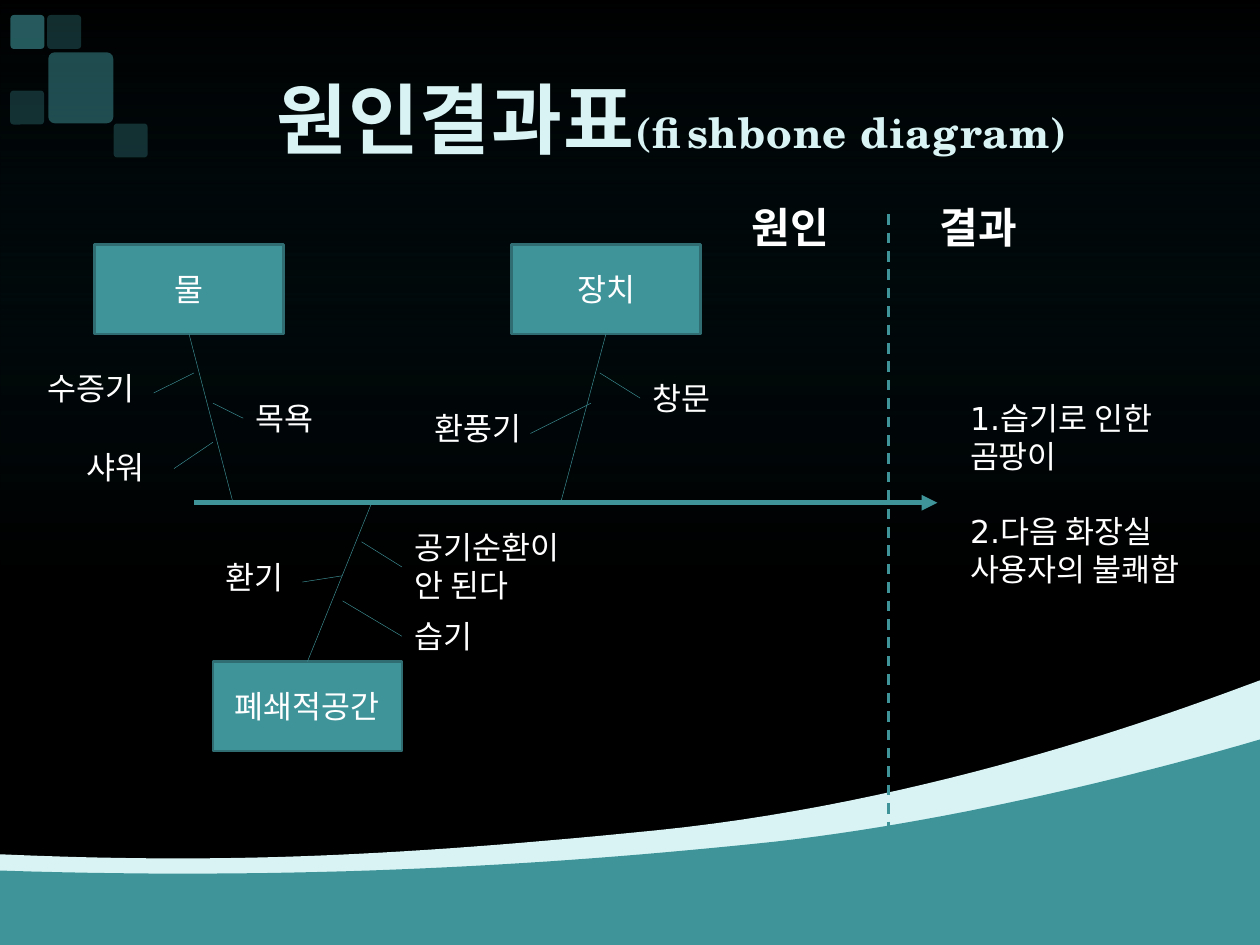
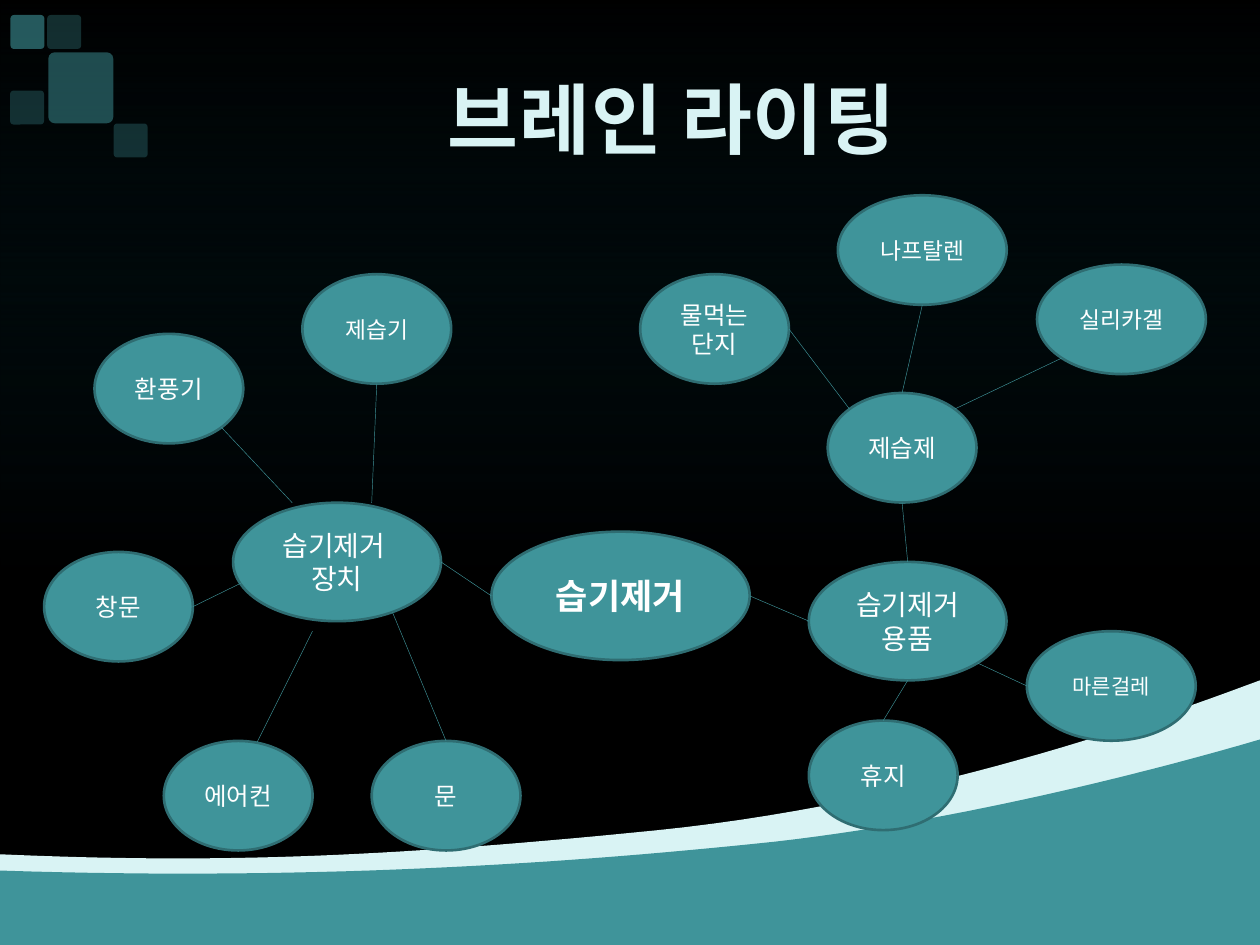
from math import cos, sin, radians
from lxml import etree
from pptx import Presentation
from pptx.dml.color import RGBColor
from pptx.enum.dml import MSO_LINE
from pptx.enum.shapes import MSO_CONNECTOR, MSO_SHAPE
from pptx.enum.text import MSO_ANCHOR, PP_ALIGN
from pptx.oxml.ns import qn
from pptx.util import Pt

C = {"black": "000000", "glow": "005466", "teal": "3F949A",
     "edge": "2F6D72", "pale": "D9F3F4", "white": "FFFFFF"}
RGB = {name: RGBColor.from_string(value) for name, value in C.items()}
BODY, HEAD = "DejaVu Sans", "TeX Gyre Schola"


def add_text(sp, text, size=18, font=BODY, color="white", bold=False,
             align=PP_ALIGN.LEFT, anchor=MSO_ANCHOR.TOP, gap=0, small=None, spacing=0):
    """Write one paragraph per line; small is an extra run in a smaller size."""
    tf = sp.text_frame
    tf.word_wrap = True
    tf.vertical_anchor = anchor
    for i, line in enumerate(text.split("\n")):
        p = tf.paragraphs[0] if i == 0 else tf.add_paragraph()
        p.alignment = align
        if i:
            p.space_before = Pt(gap)
        runs = [(line, size)] + ([small] if small else [])
        for words, points in runs:
            r = p.add_run()
            r.text = words
            r.font.size, r.font.name, r.font.bold = Pt(points), font, bold
            r.font.color.rgb = RGB[color]
            if spacing:
                r.font._element.set("spc", str(int(spacing * 100)))


def add_line(s, x1, y1, x2, y2, width=0.25):
    cn = s.shapes.add_connector(MSO_CONNECTOR.STRAIGHT, Pt(x1), Pt(y1), Pt(x2), Pt(y2))
    cn.line.color.rgb = RGB["teal"]
    cn.line.width = Pt(width)
    etree.SubElement(cn._element.spPr, qn("a:effectLst"))
    return cn


prs = Presentation()
prs.slide_width, prs.slide_height = Pt(720), Pt(540)

# Shared backdrop: glow, two waves, corner squares, title
waves = [
    ("pale", [(0, 488.2), (115.9, 493.2), (211, 491), (375.1, 474.5),
              (539.3, 457.9), (682.6, 402.5), (720, 388.8)]),
    ("teal", [(0, 497.5), (177.1, 503.3), (320.4, 493.9), (442.8, 481),
              (564.5, 467.3), (690.5, 431.3), (720, 422.6)]),
]
squares = [  # left, top, width, height, opacity %
    (27, 8.6, 19.4, 19.4, 30), (5.8, 51.8, 19.4, 19.4, 30), (6, 8.6, 19.4, 19.4, 60),
    (65, 70.6, 19.4, 19.4, 30), (27.6, 29.9, 37.2, 40.6, 50),
]
titles = [("원인결과표", ("(fishbone diagram)", 24)), ("브레인 라이팅", None)]
slides = []
for title, subtitle in titles:
    s = prs.slides.add_slide(prs.slide_layouts[6])
    slides.append(s)
    s.background.fill.solid()
    s.background.fill.fore_color.rgb = RGB["black"]

    glow = s.shapes.add_shape(MSO_SHAPE.RECTANGLE, 0, 0, Pt(720), Pt(540))
    glow.shadow.inherit = False
    glow.line.fill.background()
    glow.fill.gradient()
    glow.fill.gradient_angle = 270
    stops = zip(glow.fill.gradient_stops, [("glow", 0, 0), ("black", 0.61, 40)])
    for stop, (color, position, opacity) in stops:
        stop.color.rgb = RGB[color]
        stop.position = position
        clr = stop._gs.find(qn("a:srgbClr"))
        etree.SubElement(clr, qn("a:alpha")).set("val", str(opacity * 1000))

    for color, knots in waves:
        curve = []
        for k in (0, 3):
            for step in range(31):
                t = step / 30
                weights = ((1 - t) ** 3, 3 * t * (1 - t) ** 2, 3 * t * t * (1 - t), t ** 3)
                x, y = (sum(w * pt[axis] for w, pt in zip(weights, knots[k:k + 4]))
                        for axis in (0, 1))
                curve.append((Pt(x), Pt(y)))
        fb = s.shapes.build_freeform(*curve[0])
        fb.add_line_segments(curve[1:] + [(Pt(720), Pt(540)), (0, Pt(540))], close=True)
        wave = fb.convert_to_shape()
        wave.shadow.inherit = False
        wave.fill.solid()
        wave.fill.fore_color.rgb = RGB[color]
        wave.line.fill.background()

    for x, y, w, h, opacity in squares:
        sq = s.shapes.add_shape(MSO_SHAPE.ROUNDED_RECTANGLE, Pt(x), Pt(y), Pt(w), Pt(h))
        sq.adjustments[0] = 0.1
        sq.shadow.inherit = False
        sq.fill.solid()
        sq.fill.fore_color.rgb = RGB["teal"]
        sq.line.fill.background()
        clr = sq._element.spPr.find(qn("a:solidFill")).find(qn("a:srgbClr"))
        etree.SubElement(clr, qn("a:alpha")).set("val", str(opacity * 1000))

    tb = s.shapes.add_textbox(Pt(90), Pt(28), Pt(588), Pt(78.5))
    add_text(tb, title, size=44, font=HEAD, color="pale", bold=True, small=subtitle,
             align=PP_ALIGN.CENTER, anchor=MSO_ANCHOR.MIDDLE, spacing=0.5)

# Slide 1: fishbone spine and divider
s = slides[0]
SPINE_Y = 287.3
spine = add_line(s, 110.9, SPINE_Y, 535.7, SPINE_Y, width=3)
etree.SubElement(spine.line._get_or_add_ln(), qn("a:tailEnd")).set("type", "triangle")
divider = add_line(s, 507.6, 122.4, 507.6, 479.5, width=1.5)
divider.line.dash_style = MSO_LINE.DASH

# Cause boxes, each with a bone to the spine
causes = [  # text, left, top, connection site, bone end on the spine
    ("물", 54, 139.7, 2, 133.2),
    ("장치", 292.3, 139.7, 2, 320.4),
    ("폐쇄적공간", 121.7, 378, 0, 212.4),
]
for text, x, y, site, bone_x in causes:
    sp = s.shapes.add_shape(MSO_SHAPE.RECTANGLE, Pt(x), Pt(y), Pt(108), Pt(51.1))
    sp.shadow.inherit = False
    sp.fill.solid()
    sp.fill.fore_color.rgb = RGB["teal"]
    sp.line.color.rgb = RGB["edge"]
    sp.line.width = Pt(1.5)
    add_text(sp, text, align=PP_ALIGN.CENTER, anchor=MSO_ANCHOR.MIDDLE)
    bone = add_line(s, x + 54, y, bone_x, SPINE_Y)
    bone.begin_connect(sp, site)

# Twigs
for ends in [(87.8, 224.6, 110.9, 213.1), (99.4, 267.8, 121.7, 252.7),
             (121.7, 230.4, 139, 239), (303.1, 247.7, 337.7, 230.4),
             (365.8, 227.5, 342.7, 213.1), (172.8, 332.6, 195.8, 329),
             (229.7, 324, 206.6, 309.6), (229.7, 363.6, 195.8, 343.4)]:
    add_line(s, *ends)

# Labels and results
heading = {"size": 24, "bold": True}
labels = [  # text, left, top, width, height, format
    ("수증기", 20.2, 207.4, 79.2, 28.8, {}),
    ("목욕", 139, 224.6, 73.4, 28.8, {}),
    ("샤워", 42.5, 252.7, 56.9, 28.8, {}),
    ("환기", 121.7, 315.4, 51.1, 28.8, {}),
    ("공기순환이\n안 된다", 229.7, 298.1, 113, 51.1, {}),
    ("습기", 229.7, 349.2, 62.6, 28.8, {}),
    ("창문", 365.8, 213.1, 62.6, 28.8, {}),
    ("환풍기", 241.2, 230.4, 79.2, 28.8, {}),
    ("원인", 422.6, 111.6, 79.2, 36, heading),
    ("결과", 529.9, 111.6, 67.7, 36, heading),
    ("1.습기로 인한 곰팡이\n2.다음 화장실 사용자의 불쾌함",
     547.2, 224.6, 147.6, 116.6, {"gap": 21.5}),
]
for text, x, y, w, h, fmt in labels:
    tb = s.shapes.add_textbox(Pt(x), Pt(y), Pt(w), Pt(h))
    add_text(tb, text, **fmt)

# Slide 2: mind map bubbles
s = slides[1]
SMALL, WIDE = (85, 62.6), (96.5, 62.6)
bubbles = {  # key: text, left, top, (width, height), text size
    "core": ("습기제거", 280.8, 303.8, (147.6, 73.4), 20),
    "device": ("습기제거 \n장치", 133.2, 287.3, (118.8, 67.7), 16),
    "supply": ("습기제거\n용품", 462.2, 321.1, (113, 67.7), 16),
    "dryer": ("제습기", 172.8, 156.7, SMALL, 13),
    "fan": ("환풍기", 54, 190.8, SMALL, 14),
    "window": ("창문", 25.2, 315.4, SMALL, 14),
    "aircon": ("에어컨", 93.6, 423.4, SMALL, 14),
    "door": ("문", 212.4, 423.4, SMALL, 14),
    "desiccant": ("제습제", 473, 224.6, SMALL, 14),
    "tissue": ("휴지", 462.2, 411.8, SMALL, 14),
    "cloth": ("마른걸레", 586.8, 360.7, WIDE, 12),
    "mothball": ("나프탈렌", 478.8, 111.6, WIDE, 13),
    "silica": ("실리카겔", 592.6, 151.2, WIDE, 13),
    "absorber": ("물먹는 단지", 365.8, 156.7, SMALL, 14),
}
for key, (text, x, y, (w, h), size) in bubbles.items():
    sp = s.shapes.add_shape(MSO_SHAPE.OVAL, Pt(x), Pt(y), Pt(w), Pt(h))
    sp.shadow.inherit = False
    sp.fill.solid()
    sp.fill.fore_color.rgb = RGB["teal"]
    sp.line.color.rgb = RGB["edge"]
    sp.line.width = Pt(1.5)
    add_text(sp, text, size=size, bold=key == "core",
             align=PP_ALIGN.CENTER, anchor=MSO_ANCHOR.MIDDLE)

# Links: an end is a bubble with a clockwise angle from its right side, or a point
RIGHT, LOWER_RIGHT, BOTTOM, LOWER_LEFT, LEFT, UPPER_LEFT, TOP, UPPER_RIGHT = range(0, 360, 45)
links = [
    (("core", LEFT), ("device", RIGHT)),
    ((212.4, 287.3), ("dryer", BOTTOM)),
    (("fan", LOWER_RIGHT), (167, 287.3)),
    (("window", RIGHT), (139, 332.6)),
    ((147, 424), (178.6, 360.7)),
    (("door", TOP), (224.3, 349.9)),
    (("supply", LEFT), ("core", RIGHT)),
    (("supply", TOP), ("desiccant", BOTTOM)),
    (("desiccant", TOP), ("mothball", BOTTOM)),
    (("desiccant", UPPER_RIGHT), ("silica", LOWER_LEFT)),
    (("desiccant", UPPER_LEFT), ("absorber", RIGHT)),
    (("tissue", TOP), ("supply", BOTTOM)),
    (("supply", LOWER_RIGHT), ("cloth", LEFT)),
]
for link in links:
    ends = []
    for a, b in link:
        if a in bubbles:
            _, x, y, (w, h), _ = bubbles[a]
            a, b = x + w / 2 * (1 + cos(radians(b))), y + h / 2 * (1 + sin(radians(b)))
        ends += [a, b]
    add_line(s, *ends)

prs.save("out.pptx")
